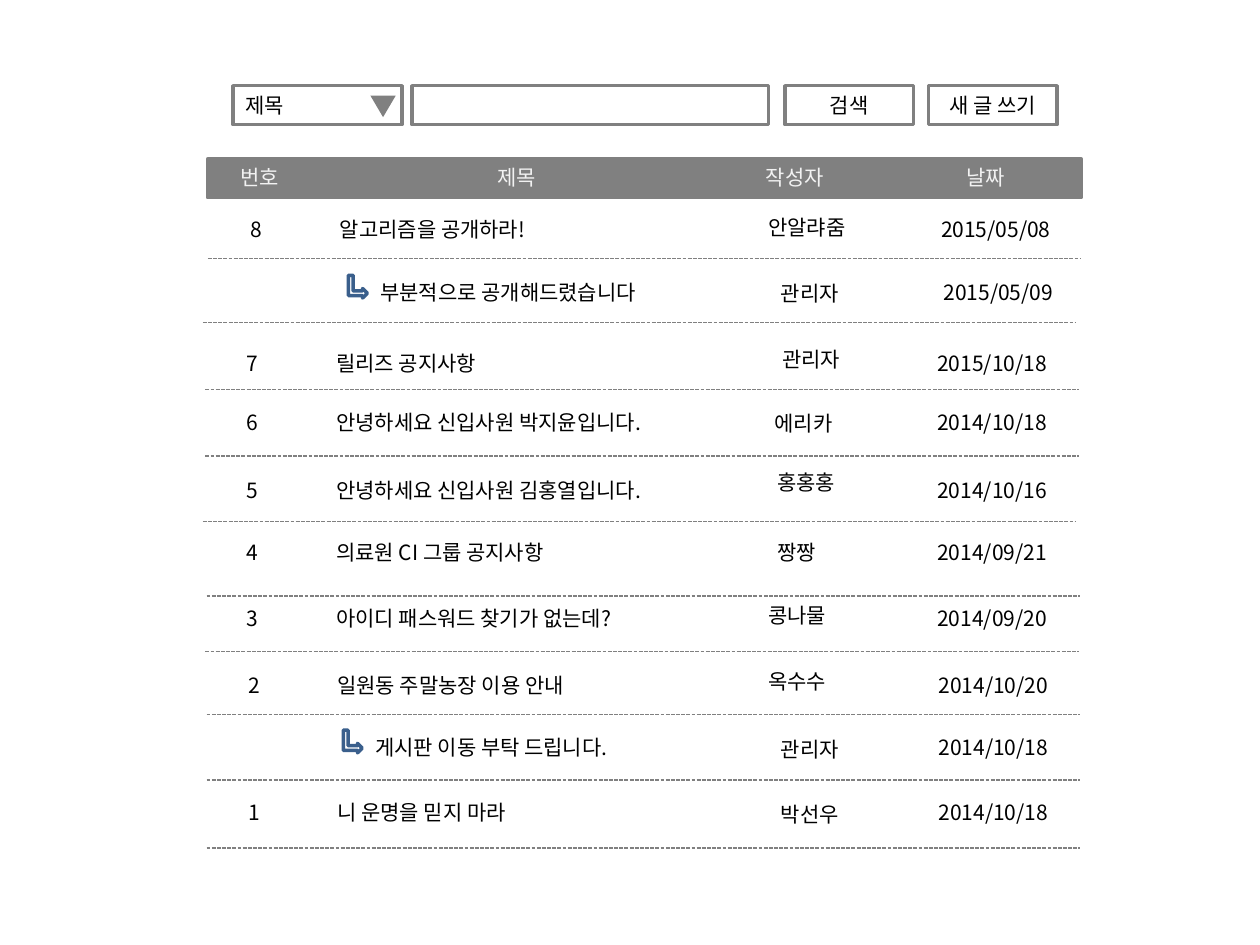
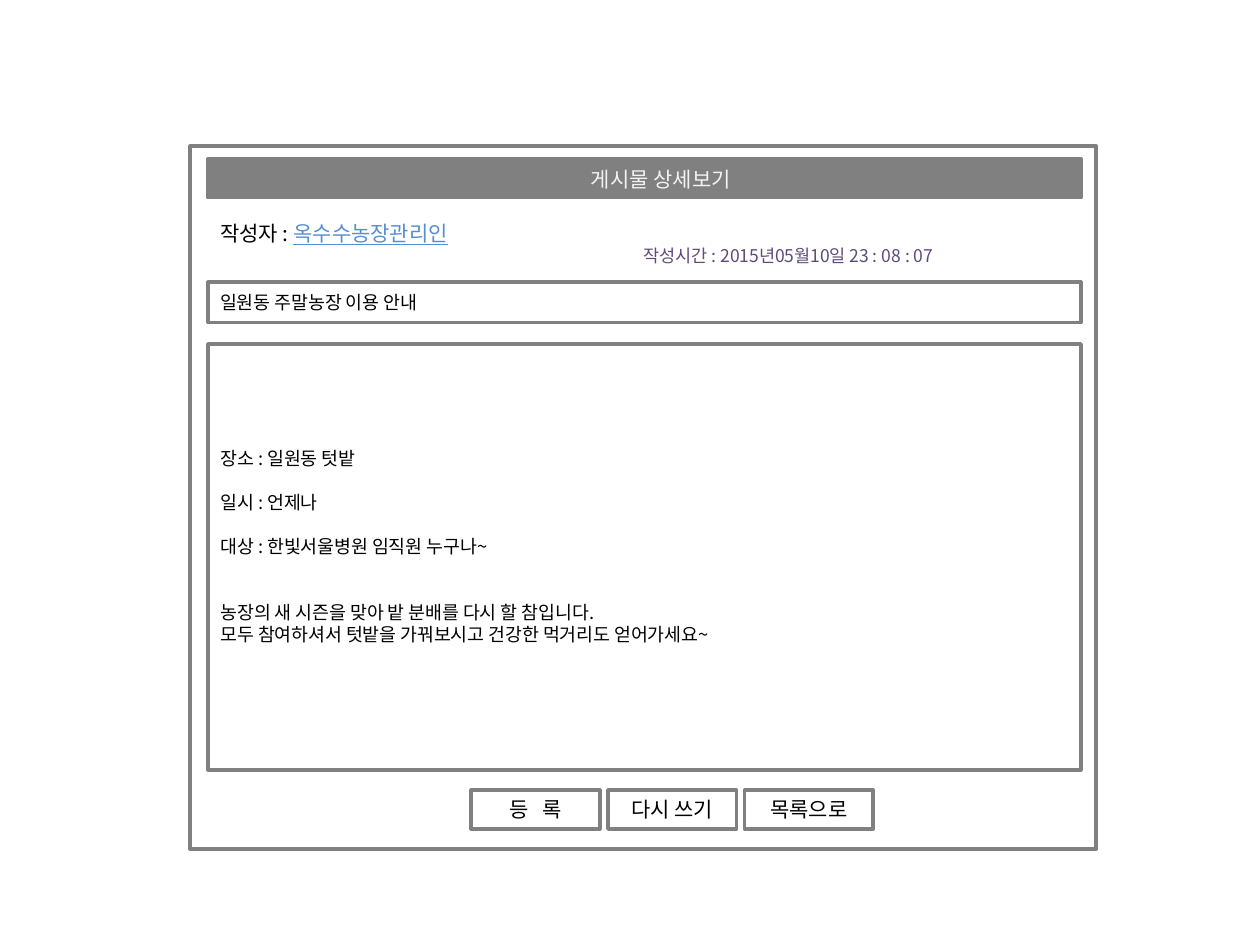
from dataclasses import dataclass

from lxml import etree
from pptx import Presentation
from pptx.dml.color import RGBColor
from pptx.enum.dml import MSO_LINE
from pptx.enum.shapes import MSO_CONNECTOR, MSO_SHAPE
from pptx.enum.text import MSO_ANCHOR, MSO_AUTO_SIZE, PP_ALIGN
from pptx.oxml.ns import qn
from pptx.util import Inches, Pt

COLORS = {
    "white": "FFFFFF",
    "gray": "808080",
    "header": "F2F2F2",
    "black": "000000",
    "arrow": "3A5F8C",
    "author": "558ED5",
    "time": "604A7B",
}
FONT = "Noto Sans CJK KR"
RECTANGLE = MSO_SHAPE.RECTANGLE
TRIANGLE = MSO_SHAPE.ISOSCELES_TRIANGLE
BENT_ARROW = MSO_SHAPE.BENT_UP_ARROW
STRAIGHT = MSO_CONNECTOR.STRAIGHT
DASH = MSO_LINE.SQUARE_DOT
LEFT, CENTER = PP_ALIGN.LEFT, PP_ALIGN.CENTER
TOP, MIDDLE = MSO_ANCHOR.TOP, MSO_ANCHOR.MIDDLE
FIT_SHAPE, NO_FIT = MSO_AUTO_SIZE.SHAPE_TO_FIT_TEXT, MSO_AUTO_SIZE.NONE

# Shared grid, in inches
BOARD_LEFT, BOARD_WIDTH = 1.65, 6.93
BAR_TOP, BAR_HEIGHT = 1.26, 0.31
BUTTON_WIDTH = 1.02
TEXT_HEIGHT = 0.3
NUMBER_LEFT, TITLE_LEFT, DATE_LEFT = 1.86, 2.57, 7.34
REPLY_INDENT = 0.3
BLANK_LINE = 12.6  # points


@dataclass(frozen=True)
class Box:
    left: float
    top: float
    width: float
    height: float

    def lengths(self):
        return [Inches(value) for value in (self.left, self.top, self.width, self.height)]


@dataclass(frozen=True)
class TextRun:
    text: str
    color: str = "black"
    size: float = 12
    underline: bool = False
    spacing: float = 0


@dataclass(frozen=True)
class Post:
    number: str
    title: str
    author: str
    date: str
    top: float
    shift: float
    author_left: float
    author_top: float
    rule_left: float
    rule_top: float

    @property
    def is_reply(self) -> bool:
        return not self.number


POSTS = [
    Post("8", "알고리즘을 공개하라!", "안알랴줌", "2015/05/08", 1.67, 0.03, 6.0, 1.65, 1.65, 2.05),
    Post("", "부분적으로 공개해드렸습니다", "관리자", "2015/05/09", 2.17, 0.05, 6.1, 2.18, 1.61, 2.56),
    Post("7", "릴리즈 공지사항", "관리자", "2015/10/18", 2.73, 0, 6.11, 2.7, 1.63, 3.09),
    Post("6", "안녕하세요 신입사원 박지윤입니다.", "에리카", "2014/10/18", 3.2, 0, 6.05, 3.21, 1.63, 3.62),
    Post("5", "안녕하세요 신입사원 김홍열입니다.", "홍홍홍", "2014/10/16", 3.74, 0, 6.07, 3.68, 1.61, 4.14),
    Post("4", "의료원 CI 그룹 공지사항", "짱짱", "2014/09/21", 4.23, 0, 6.07, 4.23, 1.64, 4.73),
    Post("3", "아이디 패스워드 찾기가 없는데?", "콩나물", "2014/09/20", 4.76, 0, 6.0, 4.73, 1.63, 5.17),
    Post("2", "일원동 주말농장 이용 안내", "옥수수", "2014/10/20", 5.29, 0.01, 6.0, 5.26, 1.64, 5.67),
    Post("", "게시판 이동 부탁 드립니다.", "관리자", "2014/10/18", 5.78, 0.01, 6.1, 5.8, 1.64, 6.19),
    Post("1", "니 운명을 믿지 마라", "박선우", "2014/10/18", 6.3, 0.01, 6.1, 6.31, 1.64, 6.73),
]


def rgb(name: str) -> RGBColor:
    return RGBColor.from_string(COLORS[name])


def add_run(paragraph, text_run: TextRun) -> None:
    run = paragraph.add_run()
    run.text = text_run.text
    run.font.name = FONT
    run.font.size = Pt(text_run.size)
    run.font.bold = False
    run.font.color.rgb = rgb(text_run.color)
    if text_run.underline:
        run.font.underline = True
    properties = run.font._element
    if text_run.spacing:
        properties.set("spc", str(round(text_run.spacing * 100)))
    etree.SubElement(properties, qn("a:ea")).set("typeface", FONT)


def write(shape, lines: list[list[TextRun]], align=LEFT, anchor=TOP, auto_size=NO_FIT) -> None:
    frame = shape.text_frame
    frame.word_wrap = True
    frame.auto_size = auto_size
    frame.vertical_anchor = anchor
    frame.margin_left = frame.margin_right = Inches(0.1)
    frame.margin_top = frame.margin_bottom = Inches(0.05)
    for index, line in enumerate(lines):
        paragraph = frame.add_paragraph() if index else frame.paragraphs[0]
        paragraph.alignment = align
        for text_run in line:
            add_run(paragraph, text_run)


def outline(shape, fill: str = "white") -> None:
    shape.fill.solid()
    shape.fill.fore_color.rgb = rgb(fill)
    shape.line.color.rgb = rgb("gray")
    shape.line.width = Pt(2)


def place(shape, box: Box) -> None:
    shape.left, shape.top, shape.width, shape.height = box.lengths()


def add_panel(slide, box: Box, runs: list[TextRun], align=LEFT, fill: str = "white"):
    shape = slide.shapes.add_shape(RECTANGLE, *box.lengths())
    shape.shadow.inherit = False
    outline(shape, fill)
    if runs:
        write(shape, [runs], align, MIDDLE)
    return shape


def add_bar(slide):
    return add_panel(slide, Box(BOARD_LEFT, BAR_TOP, BOARD_WIDTH, BAR_HEIGHT), [], fill="gray")


def add_button(slide, left: float, top: float, runs: list[TextRun]) -> None:
    add_panel(slide, Box(left, top, BUTTON_WIDTH, BAR_HEIGHT), runs, CENTER)


def add_label(slide, left: float, top: float, width: float, text: str, color: str = "black") -> None:
    box = Box(left, top, width, TEXT_HEIGHT)
    label = slide.shapes.add_textbox(*box.lengths())
    write(label, [[TextRun(text, color)]], auto_size=FIT_SHAPE)


def add_rule(slide, left: float, top: float) -> None:
    rule = slide.shapes.add_connector(
        STRAIGHT, Inches(left), Inches(top), Inches(left + BOARD_WIDTH), Inches(top))
    rule.line.color.rgb = rgb("gray")
    rule.line.width = Pt(0.75)
    rule.line.dash_style = DASH
    etree.SubElement(rule.element.spPr, qn("a:effectLst"))


def add_reply_arrow(slide, left: float, top: float) -> None:
    arrow = slide.shapes.add_shape(BENT_ARROW, *Box(left, top, 0.18, 0.15).lengths())
    arrow.shadow.inherit = False
    arrow.rotation = 90
    arrow.fill.background()
    arrow.line.color.rgb = rgb("arrow")
    arrow.line.width = Pt(2)


def add_post(slide, post: Post) -> None:
    title_left = TITLE_LEFT + post.shift
    if post.is_reply:
        add_reply_arrow(slide, title_left + 0.13, post.top + 0.03)
        title_left += REPLY_INDENT
    else:
        add_label(slide, NUMBER_LEFT + post.shift, post.top, 0.29, post.number)
    add_label(slide, title_left, post.top, 3, post.title)
    add_label(slide, post.author_left, post.author_top, 0.94, post.author)
    add_label(slide, DATE_LEFT + post.shift, post.top, 1.28, post.date)
    add_rule(slide, post.rule_left, post.rule_top)


def build_list_slide(presentation) -> None:
    slide = presentation.slides.add_slide(presentation.slide_layouts[6])

    # Search row
    search_top = 0.68
    add_panel(slide, Box(1.85, search_top, 1.34, BAR_HEIGHT), [TextRun("제목")])
    add_panel(slide, Box(3.27, search_top, 2.83, BAR_HEIGHT), [])
    add_button(slide, 6.23, search_top, [TextRun("검색")])
    add_button(slide, 7.37, search_top, [TextRun("새 글 쓰기")])
    triangle = slide.shapes.add_shape(TRIANGLE, *Box(2.94, 0.76, 0.2, 0.17).lengths())
    triangle.shadow.inherit = False
    triangle.rotation = 180
    triangle.fill.solid()
    triangle.fill.fore_color.rgb = rgb("gray")
    triangle.line.fill.background()

    # Column heads
    add_bar(slide)
    for left, text in ((1.81, "번호"), (3.85, "제목"), (5.98, "작성자"), (7.57, "날짜")):
        add_label(slide, left, BAR_TOP, 0.7, text, "header")

    # Posts
    for post in POSTS:
        add_post(slide, post)


def build_detail_slide(presentation) -> None:
    slide = presentation.slides.add_slide(presentation.slide_layouts[1])
    title, body = slide.shapes.title, slide.placeholders[1]

    # Frame and title bar, with the placeholders brought in front of them
    add_panel(slide, Box(1.51, 1.16, 7.19, 5.58), [])
    add_bar(slide)
    for placeholder in (title, body):
        slide.shapes.element.append(placeholder.element)
    place(title, Box(4.59, 1.27, 1.52, BAR_HEIGHT))
    write(title, [[TextRun("게시물 상세보기", "header")]])

    # Author and time
    byline = slide.shapes.add_textbox(*Box(BOARD_LEFT, 1.77, BOARD_WIDTH, 0.32).lengths())
    write(byline, [
        [TextRun("작성자 : "), TextRun("옥수수농장관리인", "author", underline=True)],
        [TextRun("작성시간 : 2015년05월10일 23 : 08 : 07", "time", 10)],
    ], anchor=MIDDLE)
    time_properties = byline.text_frame.paragraphs[1]._p.get_or_add_pPr()
    time_properties.set("marL", str(Inches(3.36)))

    # Subject
    add_panel(slide, Box(BOARD_LEFT, 2.24, BOARD_WIDTH, 0.32),
              [TextRun("일원동 주말농장 이용 안내", size=10.5)])

    # Message: each line with the number of blank lines after it
    message = [
        ("장소 : 일원동 텃밭", 1),
        ("일시 : 언제나", 1),
        ("대상 : 한빛서울병원 임직원 누구나~", 2),
        ("농장의 새 시즌을 맞아 밭 분배를 다시 할 참입니다.", 0),
        ("모두 참여하셔서 텃밭을 가꿔보시고 건강한 먹거리도 얻어가세요~", 0),
    ]
    place(body, Box(BOARD_LEFT, 2.73, BOARD_WIDTH, 3.38))
    outline(body)
    write(body, [[TextRun(text, size=10.5)] for text, _ in message], anchor=MIDDLE)
    body.text_frame.margin_bottom = Inches(0.22)
    for paragraph, (_, blank_lines) in zip(body.text_frame.paragraphs, message):
        paragraph.space_before = Pt(0)
        paragraph.space_after = Pt(blank_lines * BLANK_LINE)
        properties = paragraph._p.get_or_add_pPr()
        properties.set("marL", "0")
        properties.set("indent", "0")
        etree.SubElement(properties, qn("a:buNone"))

    # Buttons
    buttons = [
        [TextRun("등"), TextRun(" ", spacing=5.4), TextRun("록")],
        [TextRun("다시 쓰기")],
        [TextRun("목록으로")],
    ]
    for index, runs in enumerate(buttons):
        add_button(slide, 3.74 + index * 1.085, 6.27, runs)


def main() -> None:
    presentation = Presentation()
    presentation.slide_width = Inches(10)
    presentation.slide_height = Inches(7.5)
    build_list_slide(presentation)
    build_detail_slide(presentation)
    presentation.save("out.pptx")


main()
